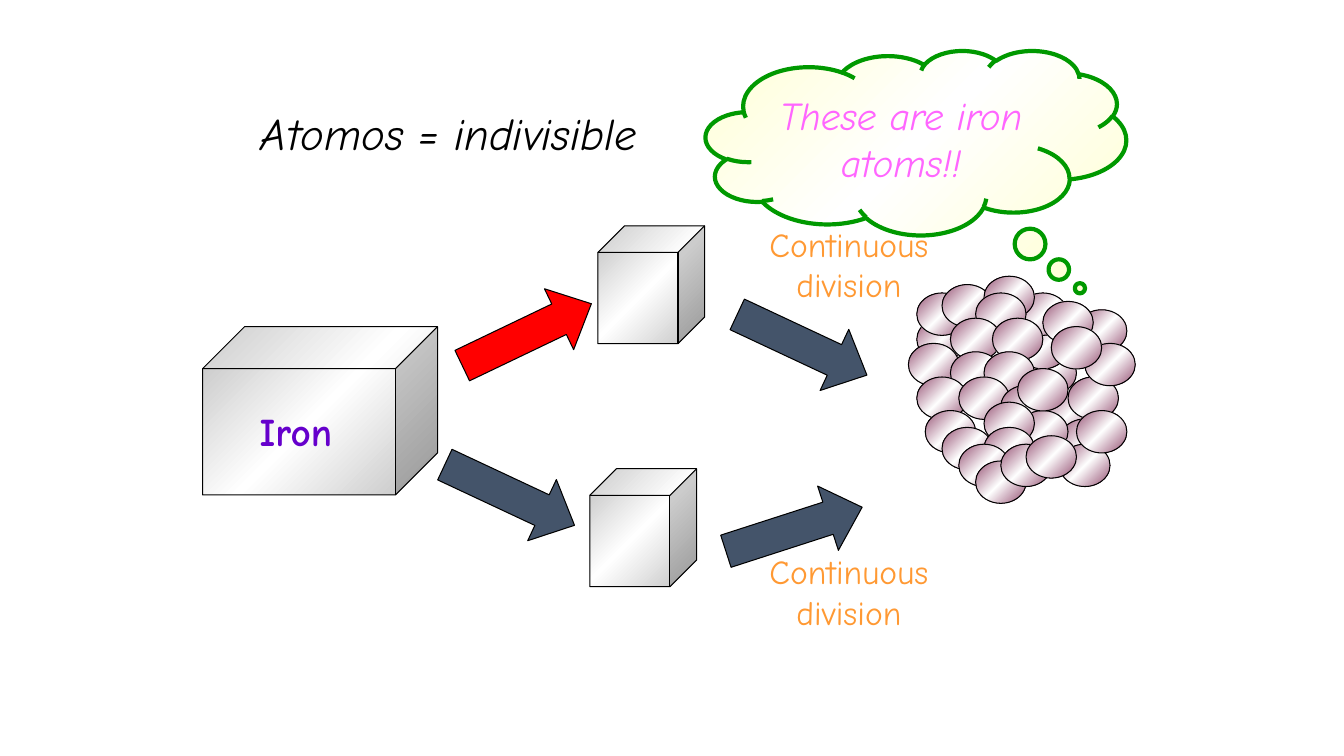
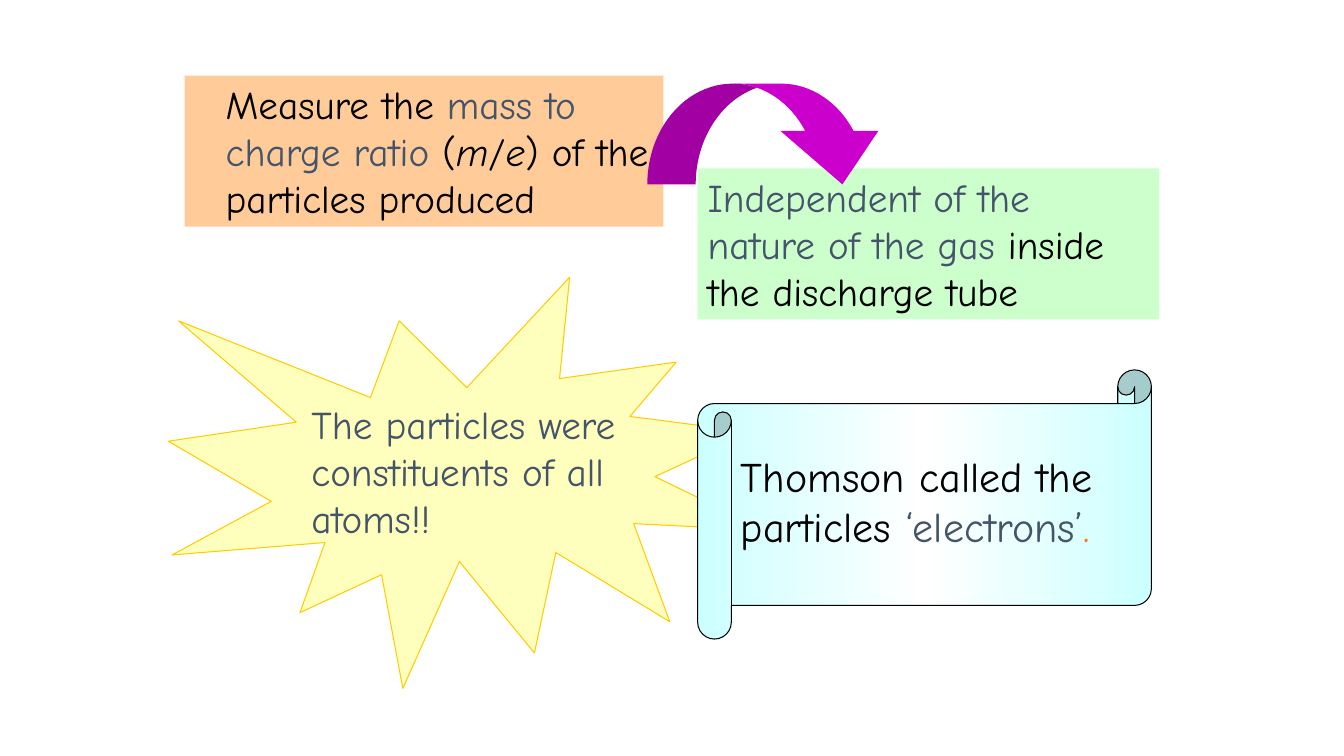
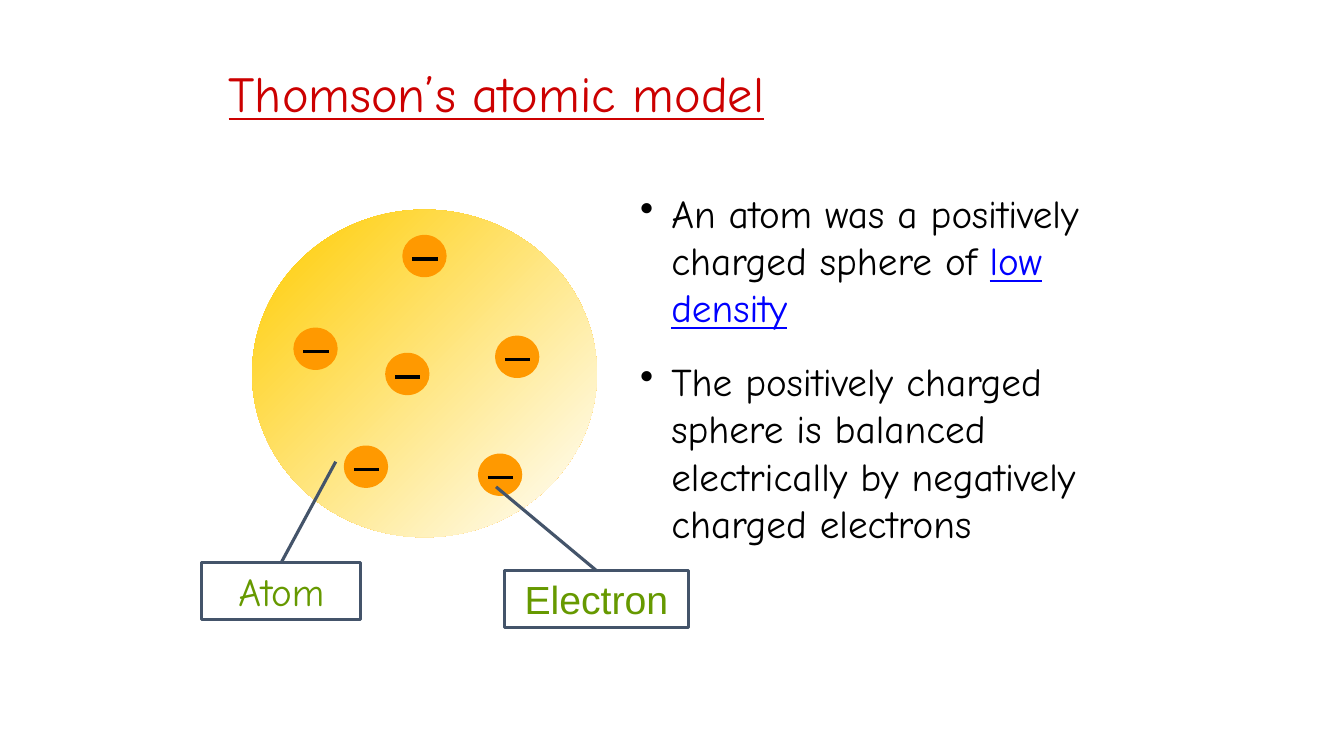
from lxml import etree
from pptx import Presentation
from pptx import util as u
from pptx.dml.color import RGBColor
from pptx.enum import shapes, text
from pptx.oxml.ns import qn

COLOURS = {
    "black": "000000", "white": "FFFFFF", "slate": "44546A", "red": "FF0000",
    "title": "CC0000", "violet": "6600CC", "orange": "FF9933", "pink": "FF66FF",
    "silver": "C0C0C0", "plum": "954F72", "cream": "FFFFD5", "leaf": "009900",
    "peach": "FFCC99", "mint": "CCFFCC", "magenta": "CC00CC", "pale yellow": "FFFFBD",
    "gold": "FFCC00", "ice": "CCFFFF", "rust": "ED7D31", "electron": "FF9900",
    "label": "669900", "blue": "0000FF",
}
RGB = {name: RGBColor.from_string(value) for name, value in COLOURS.items()}
FONT = "Comic Neue"
KIND = shapes.MSO_SHAPE
LEFT, CENTER = text.PP_ALIGN.LEFT, text.PP_ALIGN.CENTER
TOP, MIDDLE = text.MSO_ANCHOR.TOP, text.MSO_ANCHOR.MIDDLE


def add_part(slide, kind, box, fill, line=None, weight=0.75, angle=45, adjust=(), turn=0):
    """Add a preset shape; a list of colours as fill makes an even gradient."""
    part = slide.shapes.add_shape(kind, *map(u.Inches, box))
    part.shadow.inherit = False
    part.rotation = turn
    for index, value in enumerate(adjust):
        part.adjustments[index] = value
    if isinstance(fill, list):
        part.fill.gradient()
        part.fill.gradient_angle = -angle % 360
        stops = part._element.spPr.find(".//" + qn("a:gsLst"))
        stops.clear()
        for index, name in enumerate(fill):
            place = str(100000 * index // (len(fill) - 1))
            stop = etree.SubElement(stops, qn("a:gs"), pos=place)
            etree.SubElement(stop, qn("a:srgbClr"), val=COLOURS[name])
    else:
        part.fill.solid()
        part.fill.fore_color.rgb = RGB[fill]
    if line:
        part.line.color.rgb = RGB[line]
        part.line.width = u.Pt(weight)
    else:
        part.line.fill.background()
    return part


def write(holder, runs, size=28, align=LEFT, anchor=TOP, font=FONT, indent=0, bullet=None):
    """Fill a shape with one paragraph of (text, colour, format) runs."""
    frame = holder.text_frame
    frame.word_wrap = True
    frame.vertical_anchor = anchor
    paragraph = frame.paragraphs[0]
    paragraph.alignment = align
    if indent:
        properties = paragraph._p.get_or_add_pPr()
        properties.set("marL", str(u.Inches(indent)))
        properties.set("indent", str(-u.Inches(indent) if bullet else 0))
        if bullet:
            etree.SubElement(properties, qn("a:buChar"), char=bullet)
    for words, colour, extra in runs:
        run = paragraph.add_run()
        run.text = words
        run.font.color.rgb = RGB[colour]
        for key, value in {"name": font, "size": u.Pt(size), **extra}.items():
            setattr(run.font, key, value)
    return paragraph


deck = Presentation()
deck.slide_width, deck.slide_height = u.Inches(13.33), u.Inches(7.5)
division, particles, model = [deck.slides.add_slide(deck.slide_layouts[6]) for _ in range(3)]

# Slide 1: iron blocks and the arrows between them
METAL = ["silver", "white", "silver"]
for block in [(2.01, 3.24, 2.33, 1.67), (5.93, 2.24, 1.06, 1.17), (5.85, 4.65, 1.06, 1.17)]:
    add_part(division, KIND.CUBE, block, METAL, "black", adjust=[0.25])
for left, top, turn, colour in [(7.54, 4.54, 252.1, "slate"), (7.62, 2.71, 295.1, "slate"),
                                (4.89, 2.61, 244.4, "red"), (4.72, 4.2, 295.1, "slate")]:
    add_part(division, KIND.DOWN_ARROW, (left, top, 0.67, 1.42), colour, "black",
             adjust=[0.5, 0.53], turn=turn)

# Slide 1: captions
captions = [
    ((2.35, 3.99, 1.17, 0.57), "Iron", 28, "violet", {"bold": True}),
    ((7.42, 2.17, 2, 0.91), "Continuous division", 24, "orange", {}),
    ((7.42, 5.42, 2, 0.91), "Continuous division", 24, "orange", {}),
    ((2.08, 1, 4.75, 0.63), "Atomos = indivisible", 32, "black", {"italic": True}),
]
for box, words, size, colour, extra in captions:
    caption = division.shapes.add_textbox(*map(u.Inches, box))
    write(caption, [(words, colour, extra)], size, CENTER)

# Slide 1: heap of iron atoms, as (column, row) on a grid of twelfths of an inch
heap = [
    (1, 5), (1, 2), (4, 1), (0, 8), (14, 9), (13, 6), (13, 2), (9, 0), (8, 2),
    (5, 5), (5, 9), (10, 5), (9, 9), (1, 12), (6, 12), (11, 13), (2, 16), (16, 14),
    (20, 4), (18, 17), (13, 16), (9, 15), (19, 12), (21, 8), (16, 3), (17, 6), (4, 18),
    (13, 11), (9, 18), (6, 20), (8, 22), (11, 20), (18, 20), (20, 16), (14, 19),
]
for column, row in heap:
    add_part(division, KIND.OVAL, (9.01 + column / 12, 2.74 + row / 12, 0.5, 0.42),
             ["plum", "white", "plum"], "black")

# Slide 1: thought cloud
thought = add_part(division, KIND.CLOUD_CALLOUT, (7, 0.5, 4.17, 1.83),
                   ["cream", "white", "cream"], "leaf", 3, adjust=[0.39, 0.79])
write(thought, [("These are iron atoms!!", "pink", {"italic": True})], align=CENTER, anchor=MIDDLE)

# Slide 2: measurement and its result
measurement = add_part(particles, KIND.RECTANGLE, (1.83, 0.75, 4.75, 1.5), "peach")
write(measurement, [
    ("Measure the ", "black", {}),
    ("mass to charge ratio ", "slate", {}),
    ("(", "black", {}),
    ("m", "black", {"italic": True}),
    ("/", "black", {}),
    ("e", "black", {"italic": True}),
    (") of the particles produced", "black", {}),
], indent=0.31)
result = add_part(particles, KIND.RECTANGLE, (6.92, 1.67, 4.58, 1.5), "mint")
write(result, [("Independent of the nature of the gas ", "slate", {}),
               ("inside the discharge tube", "black", {})])
add_part(particles, KIND.CURVED_DOWN_ARROW, (6.42, 0.83, 2.42, 1), "magenta",
         adjust=[0.48, 0.97, 0.53])

# Slide 2: conclusion in a burst, name on a scroll
add_part(particles, KIND.EXPLOSION1, (1.67, 2.75, 5.92, 4.08), "pale yellow", "gold")
add_part(particles, KIND.HORIZONTAL_SCROLL, (6.92, 3.67, 4.5, 2.67),
         ["ice", "white", "ice"], "black", angle=0, adjust=[0.125])
conclusion = particles.shapes.add_textbox(*map(u.Inches, (2.99, 3.92, 3.58, 1.5)))
write(conclusion, [("The particles were constituents of all atoms!!", "slate", {})])
naming = particles.shapes.add_textbox(*map(u.Inches, (7.25, 4.42, 4.08, 1.1)))
write(naming, [("Thomson called the particles ", "black", {}),
               ("‘electrons’", "slate", {}), (".", "rust", {})], 30)

# Slide 3: title and statements
title = model.shapes.add_textbox(*map(u.Inches, (2.17, 0.58, 5.92, 0.75)))
write(title, [("Thomson’s atomic model", "title", {"underline": True})], 36,
      anchor=MIDDLE).line_spacing = 0.9
statements = [
    ((6.25, 1.83, 5, 1.5), [("An atom was a positively charged sphere of ", "black", {}),
                            ("low density", "blue", {"underline": True})]),
    ((6.25, 3.5, 5.17, 1.97), [("The positively charged sphere is balanced electrically "
                                "by negatively charged electrons", "black", {})]),
]
for box, runs in statements:
    statement = model.shapes.add_textbox(*map(u.Inches, box))
    write(statement, runs, indent=0.31, bullet="•")

# Slide 3: atom with its electrons, each with a minus sign
strokes = []
add_part(model, KIND.OVAL, (2.5, 2.08, 3.42, 3.25), ["gold", "white"])
for left, top in [(2.91, 3.25), (3.82, 3.5), (4.91, 3.33), (4.74, 4.5), (3.41, 4.42), (3.99, 2.33)]:
    add_part(model, KIND.OVAL, (left, top, 0.44, 0.42), "electron")
    ends = (left + 0.1, top + 0.24, left + 0.35, top + 0.24)
    minus = model.shapes.add_connector(shapes.MSO_CONNECTOR.STRAIGHT, *map(u.Inches, ends))
    strokes.append((minus, "black"))

# Slide 3: labels joined to what they name
for words, font, box, target in [("Atom", FONT, (2, 5.58, 1.58, 0.57), (3.33, 4.58)),
                                 ("Electron", "Arial", (5, 5.66, 1.83, 0.57), (4.92, 4.83))]:
    label = add_part(model, KIND.RECTANGLE, box, "white", "slate", 2.25)
    write(label, [(words, "label", {})], align=CENTER, font=font)
    pointer = model.shapes.add_connector(shapes.MSO_CONNECTOR.STRAIGHT,
                                         *map(u.Inches, target + box[:2]))
    pointer.end_connect(label, 0)
    strokes.append((pointer, "slate"))

for stroke, colour in strokes:
    stroke.line.color.rgb = RGB[colour]
    stroke.line.width = u.Pt(2.25)
    etree.SubElement(stroke._element.spPr, qn("a:effectLst"))

deck.save("out.pptx")
